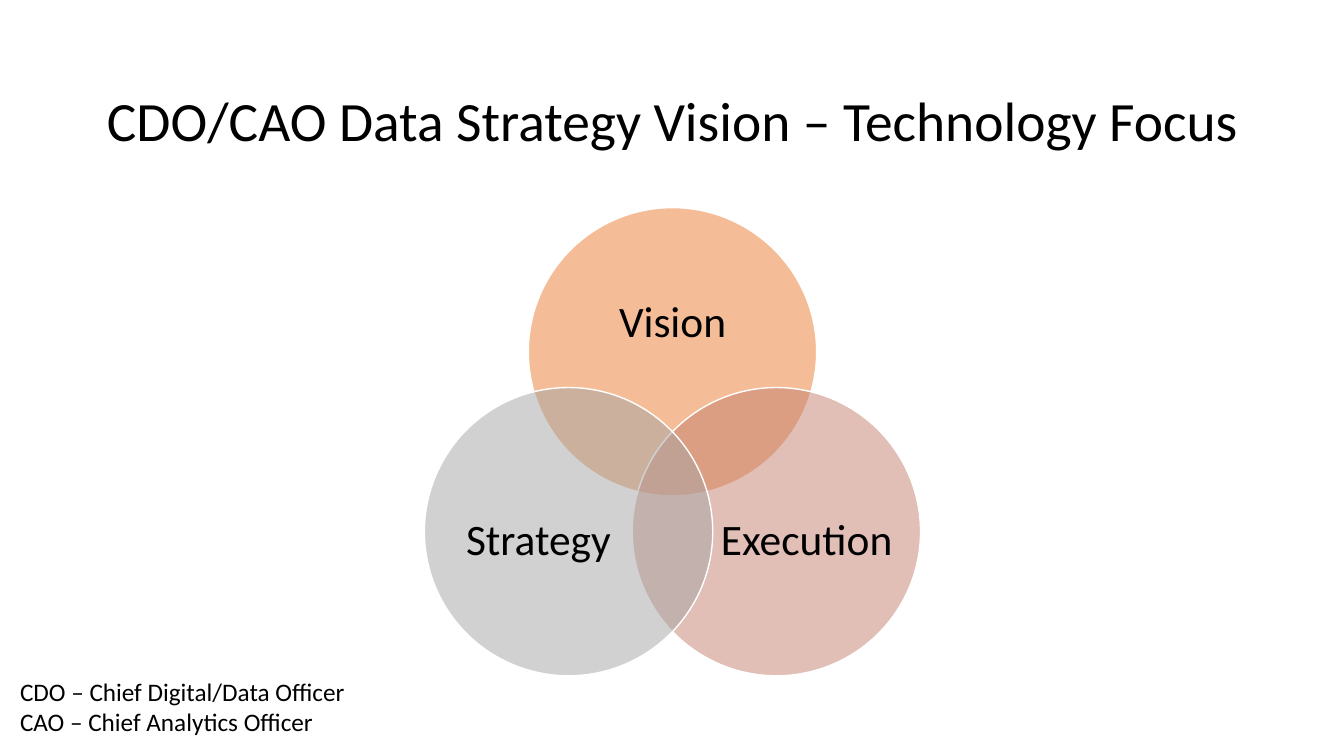
import math
from dataclasses import dataclass

import pptx
import pptx.dml.color
import pptx.enum.shapes
import pptx.enum.text
import pptx.oxml
import pptx.oxml.ns
import pptx.util
from pptx.util import Inches

ALIGN = pptx.enum.text.PP_ALIGN
ANCHOR = pptx.enum.text.MSO_ANCHOR
AUTO_SIZE = pptx.enum.text.MSO_AUTO_SIZE


@dataclass(frozen=True)
class Theme:
    font: str = "Calibri"
    ink: str = "000000"
    outline: str = "FFFFFF"
    vision: str = "ED7D31"
    execution: str = "C48170"
    strategy: str = "A5A5A5"
    opacity: int = 50
    title_size: float = 39.6
    label_size: float = 31
    legend_size: float = 18


@dataclass(frozen=True)
class Circle:
    label: str
    color: str
    angle: float  # degrees clockwise from the top of the diagram
    label_dx: float  # label centre relative to the diagram centre
    label_dy: float
    label_width: float
    label_height: float


THEME = Theme()
CENTER_X, CENTER_Y = 6.67, 4.68
ORBIT, DIAMETER = 1.19, 2.86
CIRCLES = [
    Circle("Vision", THEME.vision, 0, 0, -1.47, 2.09, 1.29),
    Circle("Execution", THEME.execution, 120, 1.33, 0.69, 1.71, 1.57),
    Circle("Strategy", THEME.strategy, 240, -1.33, 0.69, 1.71, 1.57),
]
CENTERED = {"alignment": ALIGN.CENTER, "line_spacing": 0.9}
NO_INSETS = {f"margin_{side}": 0 for side in ("left", "top", "right", "bottom")}


def rgb(color: str) -> pptx.dml.color.RGBColor:
    return pptx.dml.color.RGBColor.from_string(color)


def apply(target: object, formats: dict) -> None:
    for attribute, value in formats.items():
        setattr(target, attribute, value)


def box(x: float, y: float, width: float, height: float) -> dict:
    return {"left": Inches(x), "top": Inches(y),
            "width": Inches(width), "height": Inches(height)}


def centered_box(x: float, y: float, width: float, height: float) -> dict:
    return box(x - width / 2, y - height / 2, width, height)


def write(shape, lines: list[str], size: float, frame_format: dict,
          paragraph_format: dict) -> None:
    frame = shape.text_frame
    frame.text = "\n".join(lines)
    apply(frame, {"word_wrap": True, **frame_format})
    for paragraph in frame.paragraphs:
        apply(paragraph, paragraph_format)
        for run in paragraph.runs:
            apply(run.font, {"name": THEME.font, "size": pptx.util.Pt(size)})
            run.font.color.rgb = rgb(THEME.ink)


def draw_circle(group, circle: Circle) -> None:
    # Translucent disc on the orbit around the diagram centre
    turn = math.radians(circle.angle)
    place = centered_box(CENTER_X + ORBIT * math.sin(turn),
                         CENTER_Y - ORBIT * math.cos(turn), DIAMETER, DIAMETER)
    disc = group.shapes.add_shape(pptx.enum.shapes.MSO_SHAPE.OVAL, **place)
    disc.shadow.inherit = False
    disc.fill.solid()
    disc.fill.fore_color.rgb = rgb(circle.color)
    color = disc.fill._xPr.find(".//" + pptx.oxml.ns.qn("a:srgbClr"))
    color.append(pptx.oxml.parse_xml(
        f'<a:alpha {pptx.oxml.ns.nsdecls("a")} val="{THEME.opacity * 1000}"/>'))
    disc.line.color.rgb = rgb(THEME.outline)
    disc.line.width = pptx.util.Pt(1)

    # Label in the part that no other disc covers
    label = group.shapes.add_textbox(**centered_box(
        CENTER_X + circle.label_dx, CENTER_Y + circle.label_dy,
        circle.label_width, circle.label_height))
    write(label, [circle.label], THEME.label_size,
          {"vertical_anchor": ANCHOR.MIDDLE, **NO_INSETS}, CENTERED)


presentation = pptx.Presentation()
apply(presentation, {"slide_width": Inches(13.33), "slide_height": Inches(7.5)})
slide = presentation.slides.add_slide(presentation.slide_layouts.get_by_name("Title Only"))

# Title
heading = slide.shapes.title
apply(heading, box(0.92, 0.61, 11.5, 1.24))
write(heading, ["CDO/CAO Data Strategy Vision – Technology Focus"], THEME.title_size,
      {"vertical_anchor": ANCHOR.MIDDLE, "auto_size": AUTO_SIZE.NONE}, CENTERED)

# Venn diagram
venn = slide.shapes.add_group_shape()
for circle in CIRCLES:
    draw_circle(venn, circle)

# Abbreviations
abbreviations = slide.shapes.add_textbox(**box(0.1, 6.66, 3.51, 0.71))
write(abbreviations,
      ["CDO – Chief Digital/Data Officer", "CAO – Chief Analytics Officer"],
      THEME.legend_size, {"auto_size": AUTO_SIZE.SHAPE_TO_FIT_TEXT},
      {"alignment": ALIGN.LEFT})

presentation.save("out.pptx")
